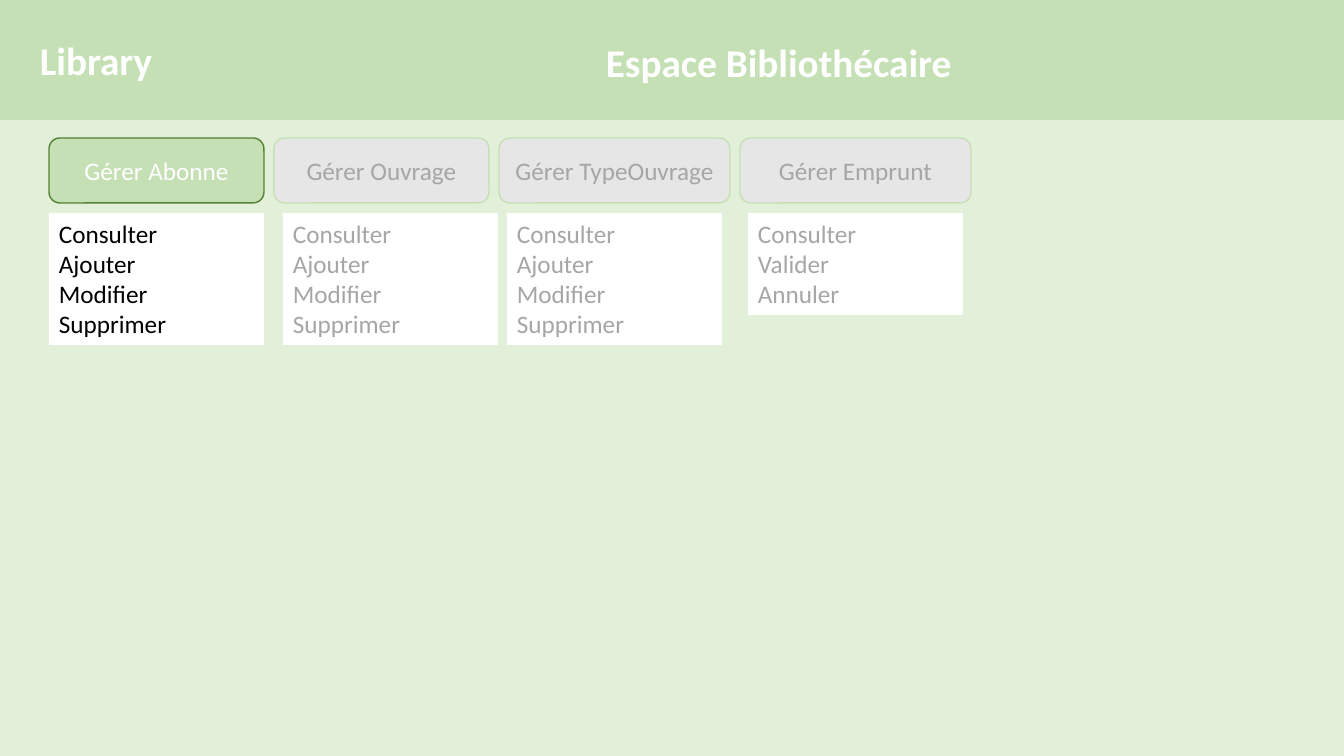
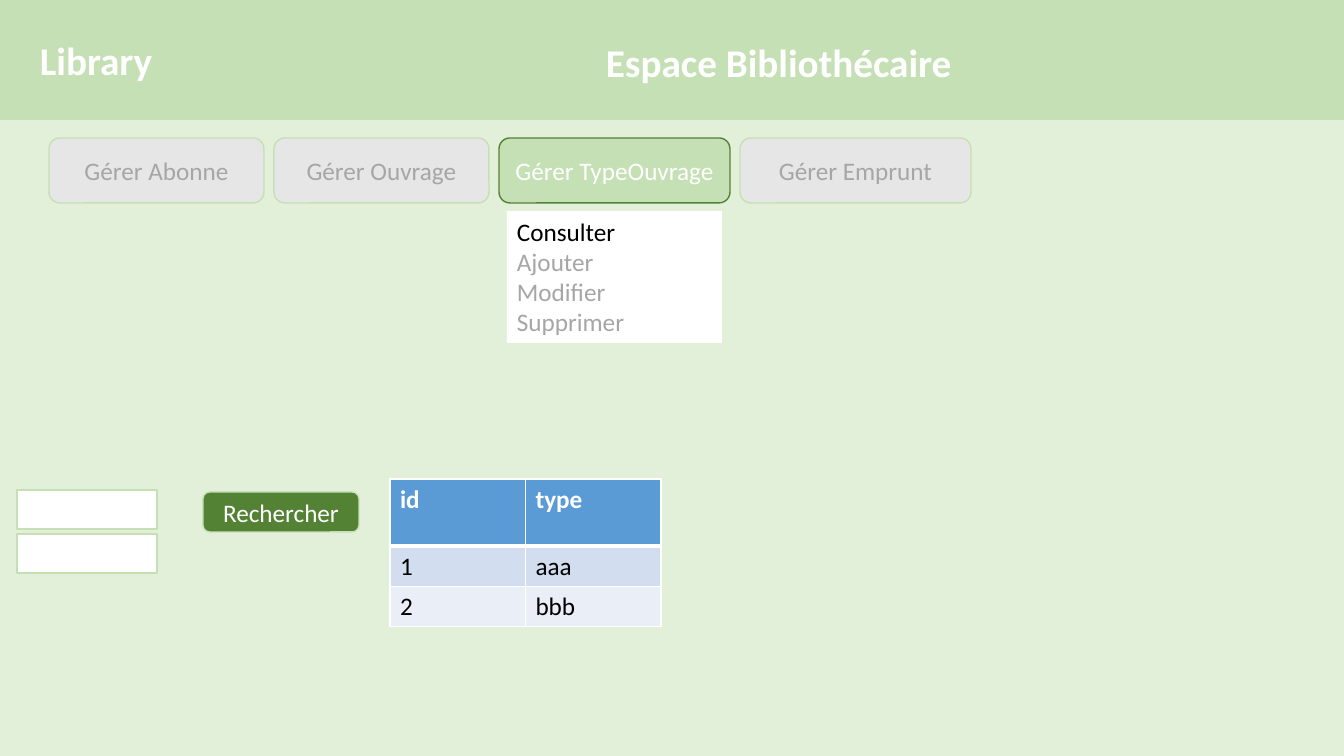
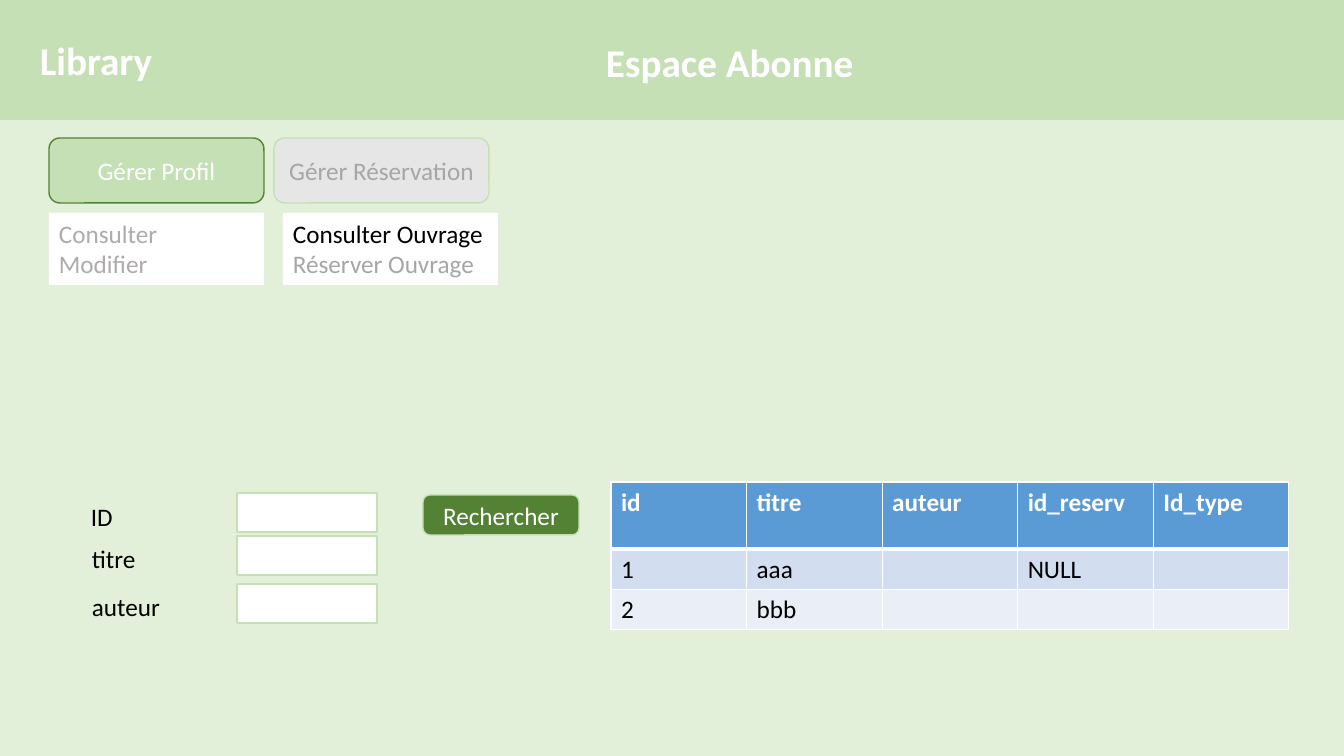
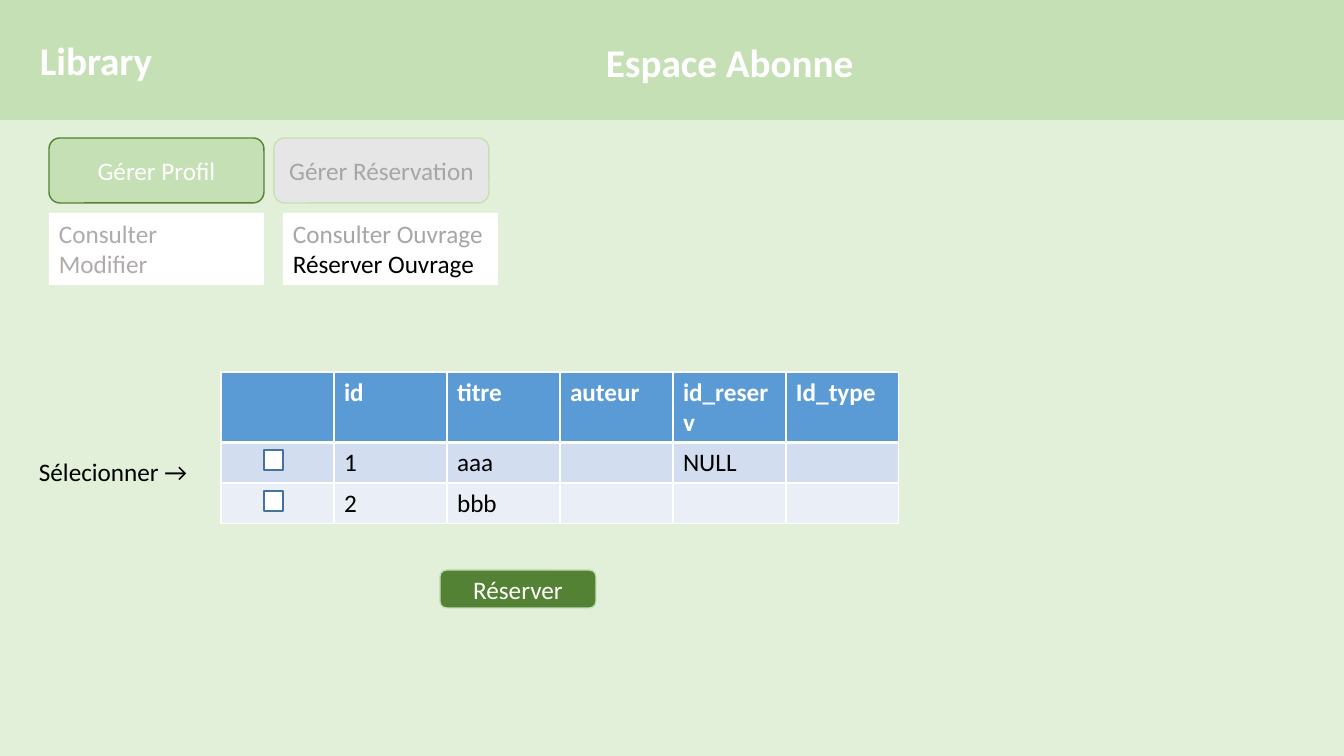
from lxml.etree import SubElement
from pptx import Presentation
from pptx.dml.color import RGBColor as RGB
from pptx.enum.shapes import MSO_SHAPE as SHAPE
from pptx.enum.text import MSO_ANCHOR as ANCHOR, MSO_AUTO_SIZE as AUTO, PP_ALIGN as ALIGN
from pptx.oxml.ns import qn
from pptx.util import Pt

PX = 914400 / 100.8
FONT = "Calibri"
C = {
    "page": "E2F0D9", "band": "C5E0B4", "dark": "548235", "white": "FFFFFF",
    "black": "000000", "off": "E7E6E6", "grey": "A6A6A6", "warm": "AFABAB",
    "check": "43739E", "head": "5B9BD5", "odd": "D2DEEF", "even": "EAEFF7",
}
TAB_X, TAB_Y, TAB_H, TAB_GAP = 49, 138, 65, 10
MENU_W, MENU_PAD, LINE_H = 215, 12, 30
FIELD_W, FIELD_H, BUTTON_W = 140, 39, 156
HEAD_H, ROW_H = 67, 40


def px(*lengths):
    return [round(n * PX) for n in lengths]


def add_text(shape, lines, size=18, bold=False, align=ALIGN.LEFT, anchor=ANCHOR.TOP, grow=False):
    """Write one paragraph for each (words, colour) pair; works for shapes and cells."""
    tf = shape.text_frame
    tf.word_wrap = True
    shape.vertical_anchor = tf.vertical_anchor = anchor
    if grow:
        tf.auto_size = AUTO.SHAPE_TO_FIT_TEXT
    for i, (words, colour) in enumerate(lines):
        p = tf.add_paragraph() if i else tf.paragraphs[0]
        p.alignment = align
        r = p.add_run()
        r.text = words
        r.font.name, r.font.size, r.font.bold = FONT, Pt(size), bold
        r.font.color.rgb = RGB.from_string(C[colour])


# Menus: left edge, top, colour of inactive entries, entries, active entries
CRUD = ["Consulter", "Ajouter", "Modifier", "Supprimer"]
LOAN = ["Consulter", "Valider", "Annuler"]
PROFILE = ["Consulter", "Modifier"]
BOOKING = ["Consulter Ouvrage", "Réserver Ouvrage"]
STAFF_TABS = [("Gérer Abonne", 215), ("Gérer Ouvrage", 215),
              ("Gérer TypeOuvrage", 231), ("Gérer Emprunt", 231)]
MEMBER_TABS = [("Gérer Profil", 215), ("Gérer Réservation", 215)]
BOOKS = [["id", "titre", "auteur", "id_reserv", "Id_type"],
         ["1", "aaa", "", "NULL", ""],
         ["2", "bbb", "", "", ""]]

SLIDES = [
    {"title": "Espace Bibliothécaire", "tabs": STAFF_TABS, "active": "Gérer Abonne",
     "menus": [(49, 213, "grey", CRUD, CRUD), (283, 213, "grey", CRUD, []),
               (507, 213, "grey", CRUD, []), (748, 213, "grey", LOAN, [])]},
    {"title": "Espace Bibliothécaire", "tabs": STAFF_TABS, "active": "Gérer TypeOuvrage",
     "menus": [(507, 211, "grey", CRUD, ["Consulter"])],
     "table": (390, 479, 271, [["id", "type"], ["1", "aaa"], ["2", "bbb"]]),
     "fields": [(17, 490), (17, 534)],
     "button": (203, 492, 40, "Rechercher")},
    {"title": "Espace Abonne", "tabs": MEMBER_TABS, "active": "Gérer Profil",
     "menus": [(49, 213, "warm", PROFILE, []),
               (283, 213, "grey", BOOKING, ["Consulter Ouvrage"])],
     "table": (611, 482, 678, BOOKS),
     "fields": [(237, 493), (237, 536), (237, 584)],
     "labels": [(81, 496, 99, "ID"), (82, 538, 99, "titre"), (82, 586, 99, "auteur")],
     "button": (423, 495, 40, "Rechercher")},
    {"title": "Espace Abonne", "tabs": MEMBER_TABS, "active": "Gérer Profil",
     "menus": [(49, 213, "warm", PROFILE, []),
               (283, 213, "grey", BOOKING, ["Réserver Ouvrage"])],
     "table": (221, 372, 678, [[""] + row for row in BOOKS]),
     "checks": [(264, 450), (264, 491)],
     "labels": [(29, 451, 206, "Sélecionner →")],
     "button": (440, 570, 38, "Réserver")},
]

prs = Presentation()
prs.slide_width, prs.slide_height = px(1344, 756)
page = prs.slide_master.background.fill
page.solid()
page.fore_color.rgb = RGB.from_string(C["page"])

for content in SLIDES:
    s = prs.slides.add_slide(prs.slide_layouts[6])

    # Table
    if "table" in content:
        x, y, w, rows = content["table"]
        n = len(rows[0])
        heights = [HEAD_H] + [ROW_H] * (len(rows) - 1)
        table = s.shapes.add_table(len(rows), n, *px(x, y, w, sum(heights))).table
        for column in table.columns:
            column.width = px(w / n)[0]
        for i, row in enumerate(rows):
            table.rows[i].height = px(heights[i])[0]
            for j, words in enumerate(row):
                cell = table.cell(i, j)
                tcPr = cell._tc.get_or_add_tcPr()
                widths = {"lnL": 1, "lnR": 1, "lnT": 3 if i == 1 else 1, "lnB": 1 if i else 3}
                for side, width in widths.items():
                    ln = SubElement(tcPr, qn("a:" + side), w=str(Pt(width)))
                    solid = SubElement(ln, qn("a:solidFill"))
                    SubElement(solid, qn("a:srgbClr"), val=C["white"])
                cell.fill.solid()
                cell.fill.fore_color.rgb = RGB.from_string(C[["head", "odd", "even"][i]])
                if words:
                    add_text(cell, [(words, "black" if i else "white")], bold=i == 0)

    # Shapes: preset, left, top, width, height, fill, line, lines of text, is a menu
    boxes = [(SHAPE.RECTANGLE, 0, 0, 1344, 120, "band", None, [], False)]
    x = TAB_X
    for name, w in content["tabs"]:
        fill, line, ink = (("band", "dark", "white") if name == content["active"]
                           else ("off", "band", "grey"))
        boxes.append((SHAPE.ROUNDED_RECTANGLE, x, TAB_Y, w, TAB_H, fill, line,
                      [(name, ink)], False))
        x += w + TAB_GAP
    for x, y, idle, entries, active in content["menus"]:
        lines = [(e, "black" if e in active else idle) for e in entries]
        boxes.append((SHAPE.RECTANGLE, x, y, MENU_W, MENU_PAD + LINE_H * len(entries),
                      "white", None, lines, True))
    for x, y in content.get("fields", []):
        boxes.append((SHAPE.RECTANGLE, x, y, FIELD_W, FIELD_H, "white", "band", [], False))
    for x, y in content.get("checks", []):
        boxes.append((SHAPE.RECTANGLE, x, y, 19, 20, "white", "check", [], False))
    if "button" in content:
        x, y, h, name = content["button"]
        boxes.append((SHAPE.ROUNDED_RECTANGLE, x, y, BUTTON_W, h, "dark", "band",
                      [(name, "white")], False))

    for preset, x, y, w, h, fill, line, lines, is_menu in boxes:
        sp = s.shapes.add_shape(preset, *px(x, y, w, h))
        sp.shadow.inherit = False
        sp.fill.solid()
        sp.fill.fore_color.rgb = RGB.from_string(C[fill])
        if line:
            sp.line.color.rgb = RGB.from_string(C[line])
            sp.line.width = Pt(1)
        else:
            sp.line.fill.background()
        if is_menu:
            add_text(sp, lines, grow=True)
        elif lines:
            add_text(sp, lines, align=ALIGN.CENTER, anchor=ANCHOR.MIDDLE)

    # Titles and labels
    captions = [(30, 31, 311, 57, "Library", 28, True, "white"),
                (596, 33, 568, 57, content["title"], 28, True, "white")]
    for x, y, w, words in content.get("labels", []):
        captions.append((x, y, w, 40, words, 18, False, "black"))
    for x, y, w, h, words, size, bold, ink in captions:
        sp = s.shapes.add_textbox(*px(x, y, w, h))
        add_text(sp, [(words, ink)], size, bold, grow=True)

prs.save("out.pptx")
